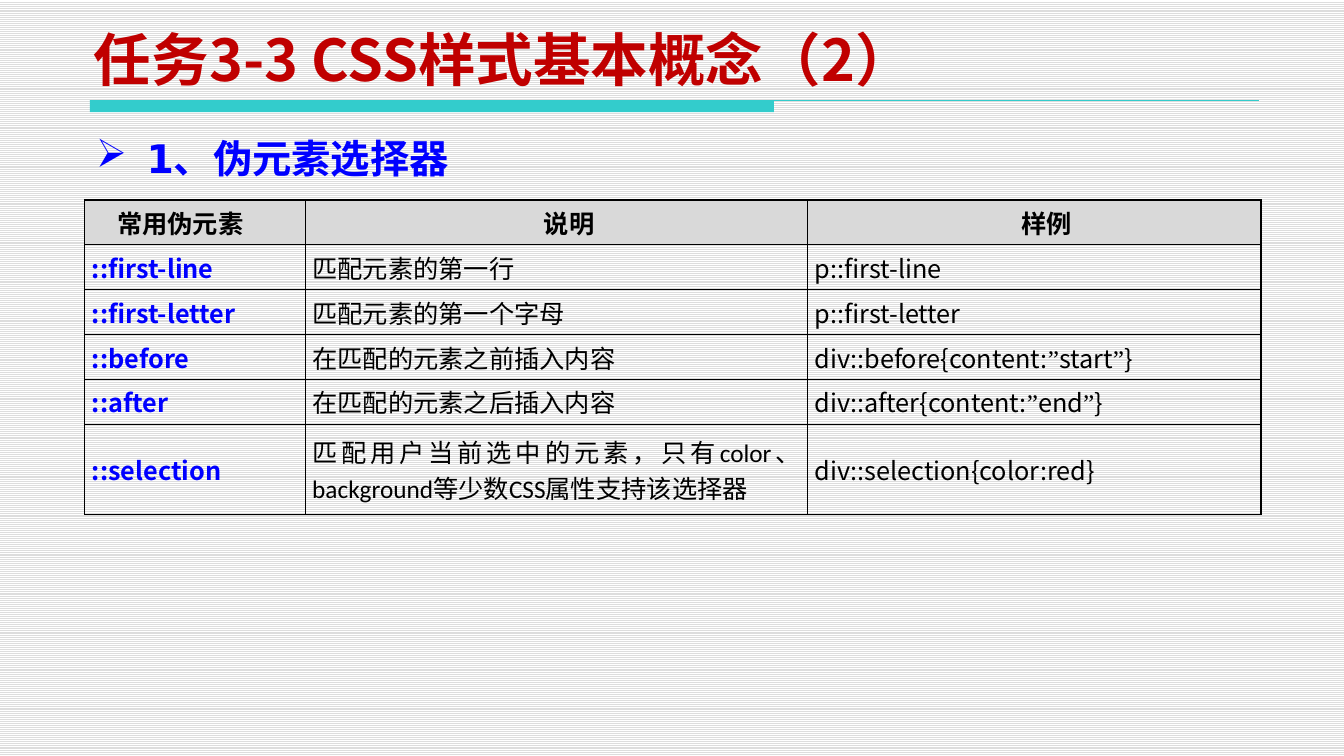
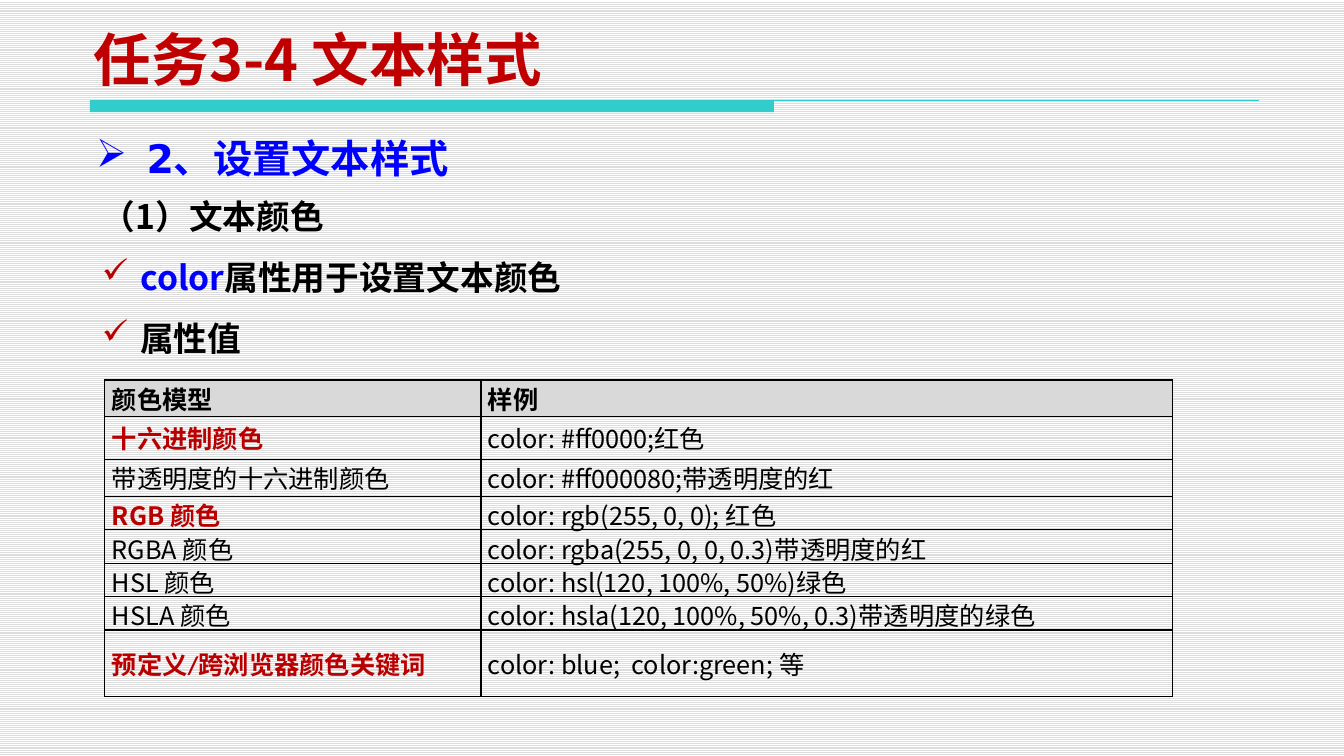
from itertools import groupby

from lxml.etree import SubElement
from pptx import Presentation
from pptx.dml.color import RGBColor
from pptx.enum.dml import MSO_PATTERN
from pptx.enum.shapes import MSO_CONNECTOR, MSO_SHAPE
from pptx.enum.text import MSO_ANCHOR as Anchor, MSO_AUTO_SIZE as AutoSize, PP_ALIGN as Align
from pptx.oxml.ns import qn
from pptx.util import Pt

SANS, LATIN, DIGITS, QUOTES = "Noto Sans CJK SC", "Calibri", "DejaVu Sans", "Times New Roman"
TITLE_RED, RED, BLUE, BLACK = "C00000", "B90000", "0000FF", "000000"
TEAL, HEADER_GREY = "33CCCC", "D9D9D9"

TITLE = {"name": SANS, "size": 41, "bold": True, "color": TITLE_RED}
HEADING = {"name": DIGITS, "size": 28, "bold": True, "color": BLUE}
BODY = {"name": SANS, "size": 24, "bold": True, "color": BLACK}
CELL = {"name": SANS, "size": 18, "bold": False, "color": BLACK}
HEADER = CELL | {"name": LATIN, "bold": True}
PLAIN = CELL | {"name": LATIN}
BLUE_TERM = CELL | {"bold": True, "color": BLUE}
RED_TERM = CELL | {"bold": True, "color": RED}

PSEUDO_ROWS = [
    ("::first-line", "匹配元素的第一行", "p::first-line"),
    ("::first-letter", "匹配元素的第一个字母", "p::first-letter"),
    ("::before", "在匹配的元素之前插入内容", "div::before{content:”start”}"),
    ("::after", "在匹配的元素之后插入内容", "div::after{content:”end”}"),
    ("::selection", "匹配用户当前选中的元素，只有color、background等少数CSS属性支持该选择器",
     "div::selection{color:red}"),
]
COLOR_ROWS = [
    ("十六进制颜色", RED_TERM, "color: #ff0000;红色"),
    ("带透明度的十六进制颜色", CELL, "color: #ff000080;带透明度的红"),
    ("RGB 颜色", RED_TERM, "color: rgb(255, 0, 0); 红色"),
    ("RGBA 颜色", CELL, "color: rgba(255, 0, 0, 0.3)带透明度的红"),
    ("HSL 颜色", CELL, "color: hsl(120, 100%, 50%)绿色"),
    ("HSLA 颜色", CELL, "color: hsla(120, 100%, 50%, 0.3)带透明度的绿色"),
    ("预定义/跨浏览器颜色关键词", RED_TERM | {"name": LATIN}, "color: blue;  color:green; 等"),
]


def rgb(code):
    return RGBColor.from_string(code)


def set_all(target, values):
    for name, value in values.items():
        setattr(target, name, value)


def add_span(para, text, style):
    """Add text in one style; closing quotes get a face of their own."""
    for is_quote, letters in groupby(text, lambda letter: letter == "”"):
        span = para.add_run()
        span.text = "".join(letters)
        face = QUOTES if is_quote else style["name"]
        set_all(span.font, {"name": face, "size": Pt(style["size"]), "bold": style["bold"]})
        span.font.color.rgb = rgb(style["color"])
        east_asian = SubElement(span.font._element, qn("a:ea"))
        east_asian.set("typeface", QUOTES if is_quote else SANS)


def set_indent(para, first, left=0):
    props = para._p.get_or_add_pPr()
    props.set("marL", str(Pt(left)))
    props.set("indent", str(Pt(first)))
    return props


def add_bullet(para, mark, hang, color=None):
    props = set_indent(para, -hang, hang)
    if color:
        SubElement(SubElement(props, qn("a:buClr")), qn("a:srgbClr")).set("val", color)
    SubElement(props, qn("a:buChar")).set("char", mark)


def add_text_box(slide, left, top, width, height, **frame_values):
    box = slide.shapes.add_textbox(Pt(left), Pt(top), Pt(width), Pt(height))
    set_all(box.text_frame, {"word_wrap": True, **frame_values})
    return box.text_frame


def add_title_band(slide, text, left=59, top=20.2, width=698, height=49.7):
    frame = add_text_box(slide, left, top, width, height, vertical_anchor=Anchor.BOTTOM,
                         margin_left=Pt(8), margin_right=Pt(8))
    add_span(frame.paragraphs[0], text, TITLE)

    rule_left, rule_top = left + 5.1, top + 51.1
    bar = slide.shapes.add_shape(MSO_SHAPE.RECTANGLE, Pt(rule_left), Pt(rule_top),
                                 Pt(487.4), Pt(8.6))
    bar.shadow.inherit = False
    bar.fill.solid()
    bar.fill.fore_color.rgb = rgb(TEAL)
    bar.line.fill.background()

    rule = slide.shapes.add_connector(MSO_CONNECTOR.STRAIGHT, Pt(rule_left), Pt(rule_top),
                                      Pt(rule_left + 833), Pt(rule_top))
    rule.line.color.rgb = rgb(TEAL)
    rule.line.width = Pt(0.75)
    SubElement(rule._element.spPr, qn("a:effectLst"))


def add_heading(slide, text, left=60.5, top=92.2, width=612, height=41.8):
    frame = add_text_box(slide, left, top, width, height, margin_left=Pt(8),
                         margin_right=Pt(8), auto_size=AutoSize.SHAPE_TO_FIT_TEXT)
    para = frame.paragraphs[0]
    para.alignment = Align.JUSTIFY
    add_bullet(para, "➢", 36)
    add_span(para, text, HEADING)


def add_points(slide, caption, points, left, top, width, height):
    """A caption line, then ticked points, each a list of (text, style)."""
    frame = add_text_box(slide, left, top, width, height)
    for index, spans in enumerate([[(caption, BODY)], *points]):
        para = frame.add_paragraph() if index else frame.paragraphs[0]
        para.line_spacing = 1.5
        if index:
            add_bullet(para, "✓", 27.4, RED)
        for text, style in spans:
            add_span(para, text, style)


def add_borders(cell):
    props = cell._tc.get_or_add_tcPr()
    for position, edge in enumerate(("lnL", "lnR", "lnT", "lnB")):
        line = props.makeelement(qn(f"a:{edge}"), {"w": str(Pt(1))})
        SubElement(SubElement(line, qn("a:solidFill")), qn("a:srgbClr")).set("val", BLACK)
        props.insert(position, line)


def add_grid(slide, left, top, widths, heights, header, rows, header_aligns, header_indent=0):
    """A ruled table; each row is a list of (text, style)."""
    cells = [[(text, HEADER) for text in header], *rows]
    frame = slide.shapes.add_table(len(heights), len(widths), Pt(left), Pt(top),
                                   Pt(sum(widths)), Pt(sum(heights)))
    table = frame.table
    set_all(table, {"first_row": False, "horz_banding": False})
    for column, width in zip(table.columns, widths):
        column.width = Pt(width)
    for row_index, (row, height) in enumerate(zip(table.rows, heights)):
        row.height = Pt(height)
        for column_index, (text, style) in enumerate(cells[row_index]):
            cell = row.cells[column_index]
            set_all(cell, {"vertical_anchor": Anchor.MIDDLE, "margin_left": Pt(5),
                           "margin_right": Pt(5), "margin_top": 0, "margin_bottom": 0})
            para = cell.text_frame.paragraphs[0]
            para.alignment = Align.JUSTIFY
            if row_index:
                cell.fill.background()
            else:
                cell.fill.solid()
                cell.fill.fore_color.rgb = rgb(HEADER_GREY)
                para.alignment = header_aligns[column_index]
                set_indent(para, header_indent)
            add_span(para, text, style)
            add_borders(cell)


def add_slide(deck, title, heading):
    slide = deck.slides.add_slide(deck.slide_layouts[6])
    add_title_band(slide, title)
    add_heading(slide, heading)
    return slide


def build_pseudo_element_slide(deck):
    slide = add_slide(deck, "任务3-3 CSS样式基本概念（2）", "1、伪元素选择器")
    rows = [list(zip(texts, (BLUE_TERM, PLAIN, CELL))) for texts in PSEUDO_ROWS]
    add_grid(slide, 60.5, 142.4, [157, 358, 323], [32] * 5 + [64],
             ["常用伪元素", "说明", "样例"], rows,
             [Align.JUSTIFY, Align.CENTER, Align.CENTER], header_indent=18)


def build_text_color_slide(deck):
    slide = add_slide(deck, "任务3-4 文本样式", "2、设置文本样式")
    points = [
        [("color", BODY | {"color": BLUE}), ("属性用于设置文本颜色", BODY)],
        [("属性值", BODY)],
    ]
    add_points(slide, "（1）文本颜色", points, 65.5, 121.7, 867, 140)
    rows = [[(name, style), (sample, CELL)] for name, style, sample in COLOR_ROWS]
    add_grid(slide, 74.7, 270.7, [268, 493], [26, 30.4, 26.6] + [23.8] * 4 + [47.6],
             ["颜色模型", "样例"], rows, [Align.JUSTIFY] * 2)


def main():
    deck = Presentation()
    set_all(deck, {"slide_width": Pt(957.6), "slide_height": Pt(538.56)})
    backdrop = deck.slide_master.background.fill
    backdrop.patterned()
    backdrop.pattern = MSO_PATTERN.LIGHT_HORIZONTAL
    backdrop.fore_color.rgb = rgb("DDDDDD")
    backdrop.back_color.rgb = rgb("FFFFFF")
    build_pseudo_element_slide(deck)
    build_text_color_slide(deck)
    deck.save("out.pptx")


if __name__ == "__main__":
    main()
